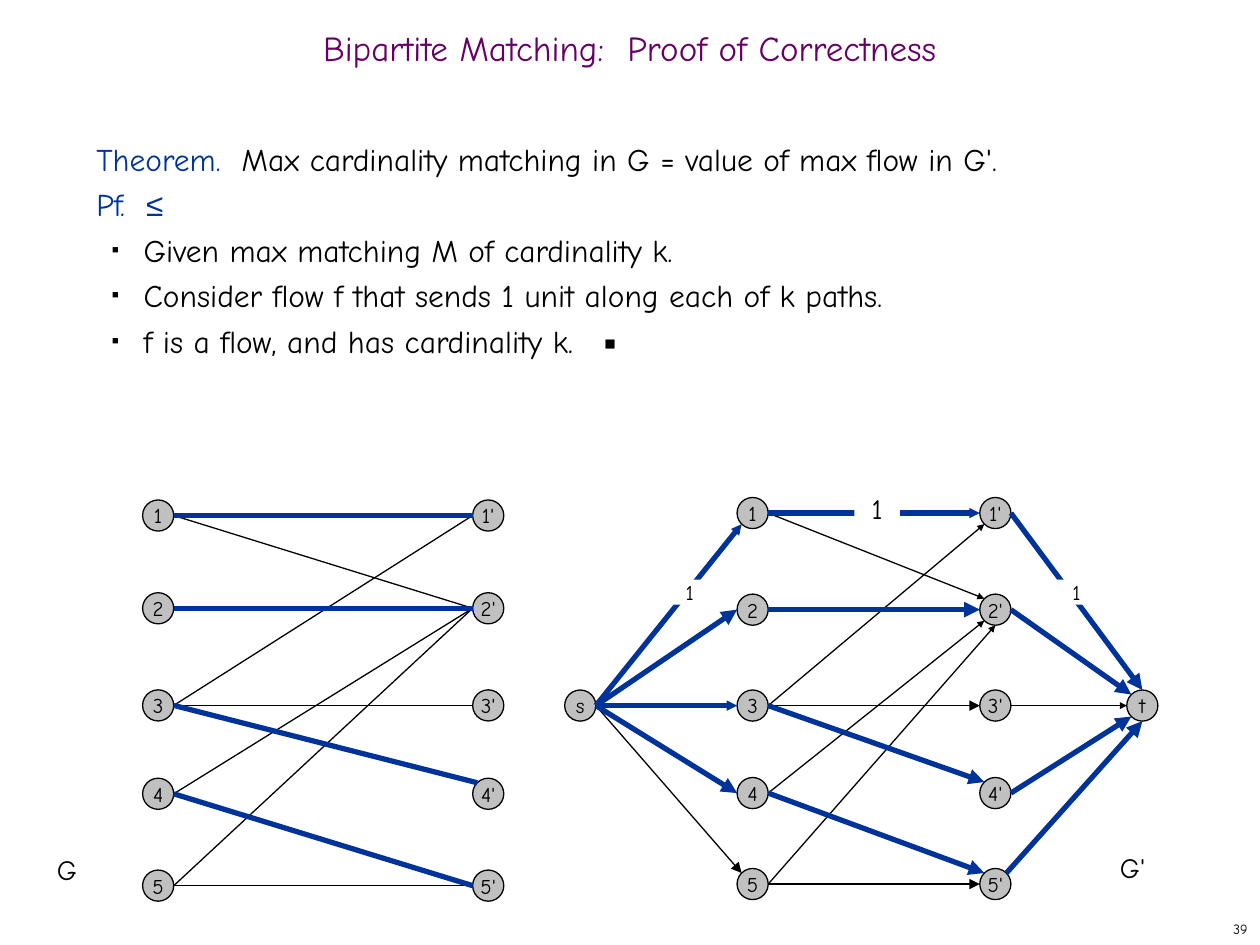
from lxml import etree
from pptx import Presentation
from pptx.dml.color import RGBColor
from pptx.enum.shapes import MSO_CONNECTOR, MSO_SHAPE
from pptx.enum.text import MSO_ANCHOR, PP_ALIGN
from pptx.oxml.ns import qn
from pptx.util import Pt

LINE, OVAL, RECT = MSO_CONNECTOR.STRAIGHT, MSO_SHAPE.OVAL, MSO_SHAPE.RECTANGLE
LEFT, CENTER, RIGHT = PP_ALIGN.LEFT, PP_ALIGN.CENTER, PP_ALIGN.RIGHT
TOP, MIDDLE = MSO_ANCHOR.TOP, MSO_ANCHOR.MIDDLE
FONT, MATH_FONT = "Comic Neue", "Arial"
BLACK, WHITE, GRAY, BLUE, PURPLE = "000000", "FFFFFF", "C0C0C0", "003399", "660066"
NODE = 17.8

THEOREM = [
    [("Theorem.  ", BLUE, FONT),
     ("Max cardinality matching in G = value of max flow in G'.", BLACK, FONT)],
    [("Pf.  ", BLUE, FONT), ("≤", BLUE, MATH_FONT)],
]
STEPS = [
    "Given max matching M of cardinality k.",
    "Consider flow f that sends 1 unit along each of k paths.",
    "f is a flow, and has cardinality k.\t▪",
]

# Edges: from, to, side where the edge leaves, side where it arrives
MATCHED = [("1", "1'", "E", "W"), ("2", "2'", "E", "W"),
           ("3", "4'", "E", "NW"), ("4", "5'", "E", "W")]
UNMATCHED = [("1", "2'", "E", "W"), ("3", "1'", "E", "W"), ("3", "3'", "E", "W"),
             ("4", "2'", "E", "W"), ("5", "2'", "E", "W"), ("5", "5'", "E", "W")]
FLOW = [("s", "1", "E", "SW"), ("s", "2", "E", "W"), ("s", "3", "E", "W"),
        ("s", "4", "E", "W"), ("1", "1'", "E", "W"), ("2", "2'", "E", "W"),
        ("3", "4'", "E", "NW"), ("4", "5'", "E", "NW"), ("1'", "t", "E", "N"),
        ("2'", "t", "E", "NW"), ("4'", "t", "E", "SW"), ("5'", "t", "NE", "S")]
NO_FLOW = [("s", "5", "E", "NW"), ("1", "2'", "E", "NW"), ("3", "1'", "E", "SW"),
           ("3", "3'", "E", "W"), ("4", "2'", "E", "SW"), ("5", "2'", "E", "S"),
           ("5", "5'", "E", "W"), ("3'", "t", "E", "W")]
SMALL_HEADS = {("s", "1"), ("s", "3"), ("1", "1'"), ("1", "2'"), ("3", "1'"),
               ("4", "2'"), ("5", "2'"), ("3'", "t")}


def rgb(color):
    return RGBColor.from_string(color)


def add_run(p, text, size, color=BLACK, font=FONT):
    r = p.add_run()
    r.text = text
    for name, value in {"name": font, "size": Pt(size)}.items():
        setattr(r.font, name, value)
    r.font.color.rgb = rgb(color)


def add_label(s, box, text, size, color=BLACK, align=LEFT, anchor=TOP):
    tf = s.shapes.add_textbox(*map(Pt, box)).text_frame
    tf.word_wrap, tf.vertical_anchor = True, anchor
    p = tf.paragraphs[0]
    p.alignment = align
    add_run(p, text, size, color)
    return p


def add_bullet(p, tab):
    """Add a small square bullet and one tab stop, given in points."""
    pPr = p._p.get_or_add_pPr()
    pPr.set("marL", str(Pt(27)))
    pPr.set("indent", str(-Pt(18)))
    color = etree.SubElement(pPr, qn("a:buClr"))
    etree.SubElement(color, qn("a:srgbClr"), val=BLACK)
    etree.SubElement(pPr, qn("a:buSzPct"), val="35000")
    etree.SubElement(pPr, qn("a:buFont"), typeface=MATH_FONT)
    etree.SubElement(pPr, qn("a:buChar"), char="■")
    tabs = etree.SubElement(pPr, qn("a:tabLst"))
    etree.SubElement(tabs, qn("a:tab"), pos=str(Pt(tab)), algn="l")


def add_proof(s, box):
    tf = s.shapes.add_textbox(*map(Pt, box)).text_frame
    tf.word_wrap = True
    paragraphs = THEOREM + [[(step, BLACK, FONT)] for step in STEPS]
    for i, runs in enumerate(paragraphs):
        p = tf.paragraphs[0] if i == 0 else tf.add_paragraph()
        if i >= len(THEOREM):
            add_bullet(p, 290)
        p.line_spacing = Pt(26)
        for text, color, font in runs:
            add_run(p, text, 18, color, font)


def add_shape(s, kind, box, text, size, fill):
    sp = s.shapes.add_shape(kind, *map(Pt, box))
    sp.shadow.inherit = False
    sp.fill.solid()
    sp.fill.fore_color.rgb = rgb(fill)
    p = sp.text_frame.paragraphs[0]
    p.alignment = CENTER
    add_run(p, text, size)
    return sp


def add_node(s, x, y, name):
    sp = add_shape(s, OVAL, (x - NODE / 2, y - NODE / 2, NODE, NODE), name, 12, GRAY)
    sp.line.color.rgb = rgb(BLACK)
    sp.line.width = Pt(0.75)
    sp.text_frame.word_wrap = False
    sp.text_frame.vertical_anchor = MIDDLE


def add_capacity(s, box, size):
    sp = add_shape(s, RECT, box, "1", size, WHITE)
    sp.line.fill.background()
    tf = sp.text_frame
    tf.word_wrap, tf.vertical_anchor = True, TOP
    for side in ("left", "top", "right", "bottom"):
        setattr(tf, f"margin_{side}", 0)


def rim_point(center, side):
    """Return the point of a node's outline at a compass side."""
    dx = ("E" in side) - ("W" in side)
    dy = ("S" in side) - ("N" in side)
    reach = NODE / 2 * (0.71 if dx and dy else 1)
    return center[0] + dx * reach, center[1] + dy * reach


def add_edge(s, start, end, color, width, head=None):
    c = s.shapes.add_connector(LINE, *map(Pt, (*start, *end)))
    c.line.color.rgb = rgb(color)
    c.line.width = Pt(width)
    if head:
        etree.SubElement(c.line._get_or_add_ln(), qn("a:tailEnd"),
                         type="triangle", w=head, len=head)
    etree.SubElement(c._element.spPr, qn("a:effectLst"))


def add_graph(s, nodes, thick, thin, directed):
    for name, (x, y) in nodes.items():
        add_node(s, x, y, name)
    for edges, color, width in ((thin, BLACK, 0.75), (thick, BLUE, 3)):
        for a, b, leave, arrive in edges:
            head = ("sm" if (a, b) in SMALL_HEADS else "med") if directed else None
            add_edge(s, rim_point(nodes[a], leave), rim_point(nodes[b], arrive),
                     color, width, head)


def two_columns(left, right, rows):
    """Map 1 to 5 and 1' to 5' to the node centres of both columns."""
    return {f"{i}{mark}": (x, y) for x, mark in ((left, ""), (right, "'"))
            for i, y in enumerate(rows, 1)}


def add_matching(s, box):
    x, y, w, h = box
    rows = [y + d for d in (9, 62, 117.5, 168, h - 9)]
    add_graph(s, two_columns(x + 9, x + w - 9, rows), MATCHED, UNMATCHED, False)
    add_label(s, (x - 56, y + 198, 44, 27), "G", 16)


def add_flow_network(s, box):
    x, y, w, h = box
    rows = [y + d for d in (9, 64.2, 119, 169, h - 9)]
    nodes = two_columns(x + 107.5, x + 246.2, rows)
    nodes.update(s=(x + 9, rows[2]), t=(x + w - 9, rows[2]))
    add_graph(s, nodes, FLOW, NO_FLOW, True)
    for left in (58.3, 279.3):
        add_capacity(s, (x + left, y + 47, 26.6, 14.4), 12)
    add_capacity(s, (x + 165.6, y - 3.5, 26, 19.4), 16)
    add_label(s, (x + 310.3, y + 198, 44, 27), "G'", 16)


def main():
    prs = Presentation()
    prs.slide_width, prs.slide_height = Pt(720), Pt(540)
    s = prs.slides.add_slide(prs.slide_layouts[6])
    add_label(s, (570, 522, 150, 18), "39", 8, align=RIGHT, anchor=MIDDLE)
    add_proof(s, (48, 72, 618, 426))
    title = add_label(s, (0, 12, 720, 36), "Bipartite Matching:  Proof of Correctness",
                      20, PURPLE, CENTER, MIDDLE)
    title.line_spacing = 0.7
    add_flow_network(s, (322.6, 284.2, 339.2, 230))
    add_matching(s, (81.4, 285.6, 206.6, 229.5))
    prs.save("out.pptx")


if __name__ == "__main__":
    main()
